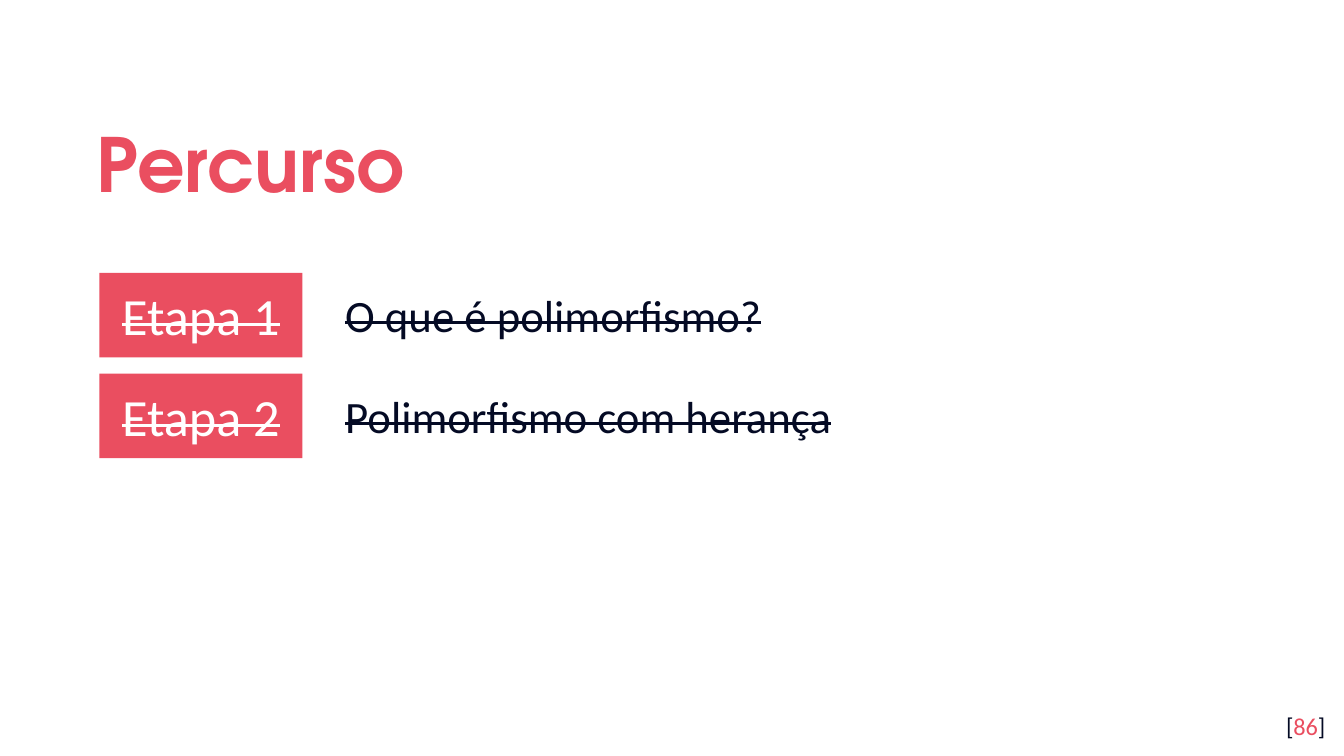
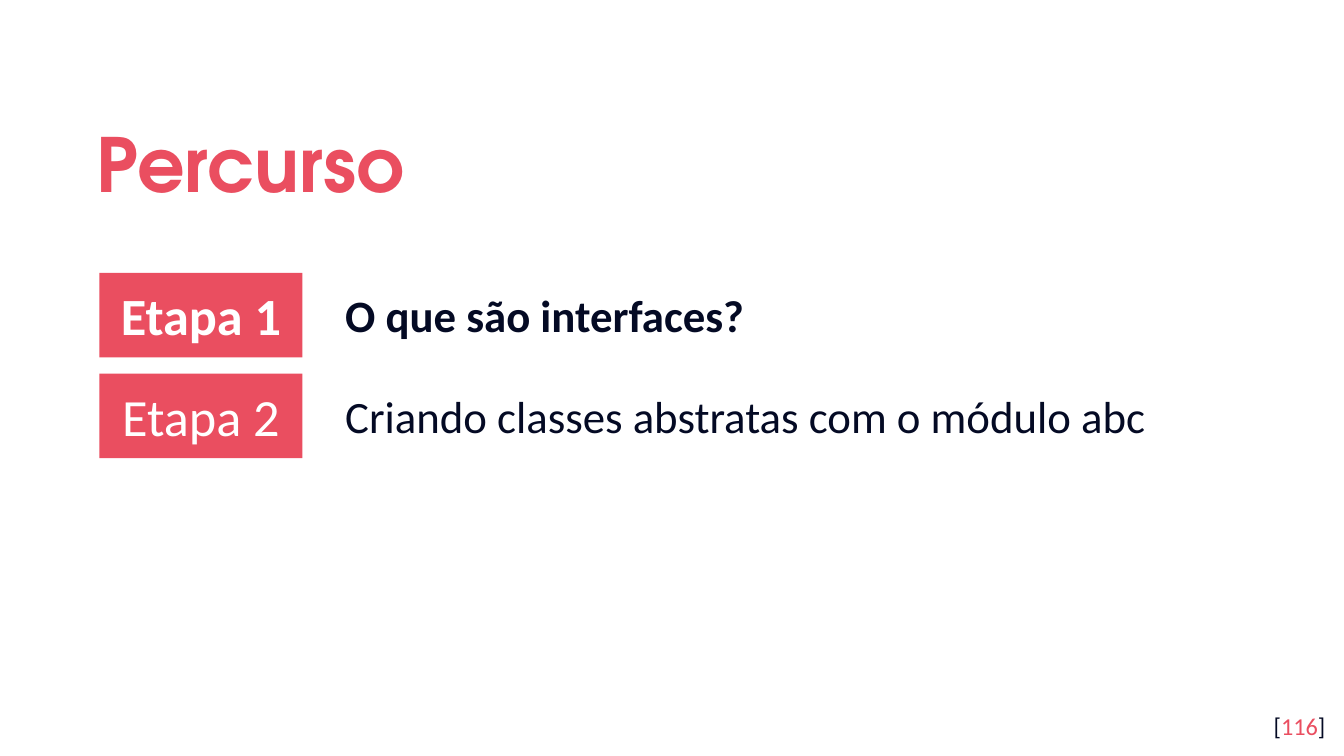
from dataclasses import dataclass

from pptx import Presentation
from pptx.dml.color import RGBColor
from pptx.enum.shapes import MSO_SHAPE
from pptx.enum.text import MSO_ANCHOR as Anchor, MSO_AUTO_SIZE as AutoSize, PP_ALIGN as Align
from pptx.presentation import Presentation as Deck
from pptx.slide import Slide
from pptx.util import Inches, Pt

COLORS = {"accent": "EA4E60", "ink": "040A24", "paper": "FFFFFF"}
BODY_FONT = "Calibri"
TITLE_FONT = "TeX Gyre Adventor"
TITLE_ONLY = 5

SLIDE_WIDTH = Inches(10)
SLIDE_HEIGHT = SLIDE_WIDTH * 9 // 16

STEP_TOP = 2.03
STEP_PITCH = 0.75
TOPIC_OFFSET = 0.06
HANGING = 0.5


@dataclass(frozen=True)
class Step:
    topic: str
    done: bool = False
    current: bool = False


@dataclass(frozen=True)
class Roadmap:
    page: int
    steps: tuple[Step, ...]


ROADMAPS = (
    Roadmap(86, (
        Step("O que é polimorfismo?", done=True),
        Step("Polimorfismo com herança", done=True),
    )),
    Roadmap(116, (
        Step("O que são interfaces?", current=True),
        Step("Criando classes abstratas com o módulo abc"),
    )),
)


def rgb(name: str) -> RGBColor:
    return RGBColor.from_string(COLORS[name])


def write(shape, *parts: tuple[str, str], size: float, font: str = BODY_FONT,
          bold: bool = False, strike: bool = False, align=Align.LEFT,
          anchor=Anchor.TOP, inset_y: float = 0.1, spacing: float = 1.0,
          level: int = 0, hanging: float = 0) -> None:
    """Fill a shape with one paragraph made of (text, colour name) parts."""
    frame = shape.text_frame
    frame.word_wrap = True
    frame.auto_size = AutoSize.NONE
    frame.vertical_anchor = anchor
    frame.margin_left = frame.margin_right = Inches(0.1)
    frame.margin_top = frame.margin_bottom = Inches(inset_y)

    paragraph = frame.paragraphs[0]
    paragraph.alignment = align
    paragraph.line_spacing = spacing
    paragraph.level = level
    properties = paragraph._p.get_or_add_pPr()
    properties.set("marL", str(Inches(hanging)))
    properties.set("indent", str(-Inches(hanging)))

    for text, color in parts:
        run = paragraph.add_run()
        run.text = text
        run.font.name = font
        run.font.size = Pt(size)
        run.font.bold = bold
        run.font.color.rgb = rgb(color)
        if strike:
            run._r.get_or_add_rPr().set("strike", "sngStrike")


def add_title(slide: Slide, text: str) -> None:
    title = slide.shapes.title
    title.left, title.top = Inches(0.62), Inches(0.7)
    title.width, title.height = Inches(8.1), Inches(0.92)
    write(title, (text, "accent"), size=40, font=TITLE_FONT, bold=True,
          anchor=Anchor.MIDDLE, spacing=1.15)


def add_page_number(slide: Slide, page: int) -> None:
    number = slide.shapes.add_textbox(Inches(9.36), Inches(5.19), Inches(0.6), Inches(0.43))
    write(number, ("[", "ink"), (str(page), "accent"), ("]", "ink"),
          size=13, align=Align.RIGHT)


def add_step(slide: Slide, index: int, step: Step) -> None:
    top = STEP_TOP + index * STEP_PITCH
    badge = slide.shapes.add_shape(MSO_SHAPE.RECTANGLE, Inches(0.74), Inches(top),
                                   Inches(1.51), Inches(0.63))
    badge.shadow.inherit = False
    badge.fill.solid()
    badge.fill.fore_color.rgb = rgb("accent")
    badge.line.fill.background()
    write(badge, (f"Etapa {index + 1}", "paper"), size=28, bold=step.current,
          strike=step.done, align=Align.CENTER, anchor=Anchor.MIDDLE, level=1)

    topic = slide.shapes.add_textbox(Inches(2.47), Inches(top + TOPIC_OFFSET),
                                     Inches(6.75), Inches(0.5))
    write(topic, (step.topic, "ink"), size=24, bold=step.current,
          strike=step.done, inset_y=0.05, hanging=HANGING)


def add_roadmap(deck: Deck, roadmap: Roadmap) -> None:
    slide = deck.slides.add_slide(deck.slide_layouts[TITLE_ONLY])
    slide.background.fill.solid()
    slide.background.fill.fore_color.rgb = rgb("paper")
    add_title(slide, "Percurso")
    for index, step in enumerate(roadmap.steps):
        add_step(slide, index, step)
    add_page_number(slide, roadmap.page)


def main() -> None:
    deck = Presentation()
    deck.slide_width, deck.slide_height = SLIDE_WIDTH, SLIDE_HEIGHT
    for roadmap in ROADMAPS:
        add_roadmap(deck, roadmap)
    deck.save("out.pptx")


if __name__ == "__main__":
    main()
